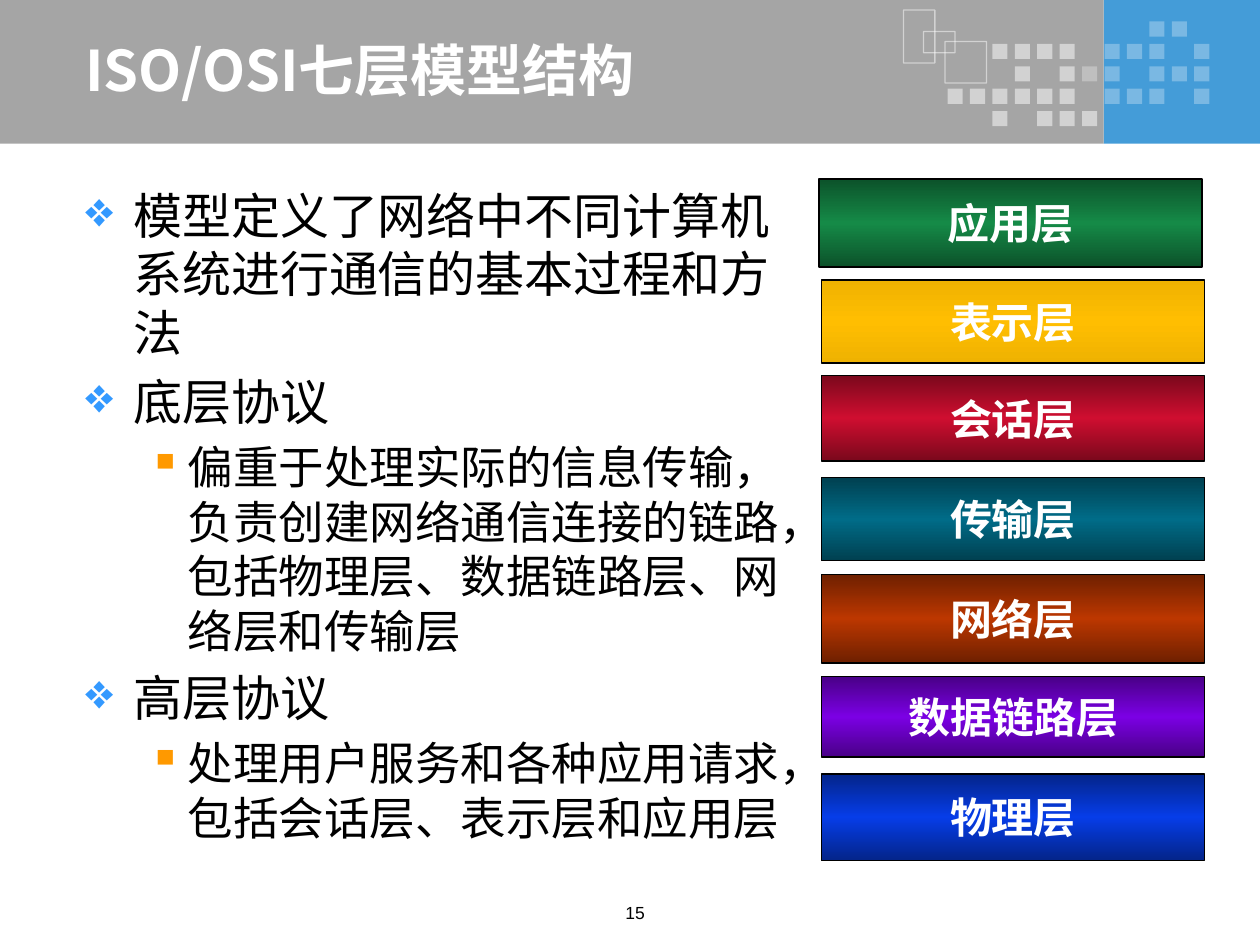
from copy import deepcopy

from lxml.etree import SubElement
from pptx import Presentation
from pptx.dml.color import RGBColor
from pptx.enum.shapes import MSO_SHAPE
from pptx.enum.text import MSO_ANCHOR, PP_ALIGN
from pptx.oxml.ns import qn
from pptx.util import Inches, Pt

COLORS = {
    "white": "FFFFFF",
    "black": "000000",
    "banner": "A5A5A5",
    "banner_end": "449CD8",
    "topic_bullet": "3399FF",
    "detail_bullet": "FF9900",
}
CJK_FONT = "Noto Sans CJK SC"

TITLE = "ISO/OSI七层模型结构"
TOPICS = [
    (0, "模型定义了网络中不同计算机系统进行通信的基本过程和方法"),
    (0, "底层协议"),
    (1, "偏重于处理实际的信息传输，负责创建网络通信连接的链路，"
        "包括物理层、数据链路层、网络层和传输层"),
    (0, "高层协议"),
    (1, "处理用户服务和各种应用请求，包括会话层、表示层和应用层"),
]
# Per outline level: size, left margin, hanging indent, bullet, bullet colour
LEVELS = [
    (28, 0.38, -0.38, "❖", "topic_bullet"),
    (26, 0.81, -0.31, "▪", "detail_bullet"),
]
# name, left, top, height, edge colour, middle colour
OSI_LAYERS = [
    ("应用层", 6.5, 1.42, 0.7, "0C522A", "158A47"),
    ("表示层", 6.52, 2.22, 0.66, "EFB201", "FFBE01"),
    ("会话层", 6.52, 2.98, 0.68, "7A081C", "CF0E30"),
    ("传输层", 6.52, 3.79, 0.66, "004050", "006C88"),
    ("网络层", 6.52, 4.56, 0.7, "6F2000", "BC3700"),
    ("数据链路层", 6.52, 5.37, 0.64, "490087", "7B00E4"),
    ("物理层", 6.52, 6.14, 0.69, "042489", "063DE8"),
]
LAYER_WIDTH = 3.04
# Banner mosaic: each mark is a tile, "#" brighter than "+"
MOSAIC = [
    ".........++.",
    "..####.+++.+",
    "...#.#++.+++",
    "######.+++.+",
    "..#.###.....",
]
TILE_OPACITY = {"#": 50, "+": 29}
OUTLINES = [
    (7.17, 0.08, 0.25, 0.42),
    (7.33, 0.25, 0.25, 0.17),
    (7.5, 0.33, 0.33, 0.33),
]


def rgb(name):
    return RGBColor.from_string(COLORS.get(name, name))


def set_opacity(color_format_fill, percent):
    """Make a solid fill's colour partly transparent."""
    color = color_format_fill._xPr.find(".//" + qn("a:srgbClr"))
    SubElement(color, qn("a:alpha"), val=str(percent * 1000))


def add_rect(slide, box, fill=None, opacity=100):
    rect = slide.shapes.add_shape(MSO_SHAPE.RECTANGLE, *map(Inches, box))
    rect.shadow.inherit = False
    rect.line.fill.background()
    if fill is None:
        rect.fill.background()
    else:
        rect.fill.solid()
        rect.fill.fore_color.rgb = rgb(fill)
        if opacity < 100:
            set_opacity(rect.fill, opacity)
    return rect


def add_run(paragraph, text, color, latin=CJK_FONT, **font_format):
    run = paragraph.add_run()
    run.text = text
    run.font.color.rgb = rgb(color)
    for attribute, value in {"name": latin, **font_format}.items():
        setattr(run.font, attribute, value)
    run.font._element.find(qn("a:latin")).addnext(
        run.font._element.makeelement(qn("a:ea"), {"typeface": CJK_FONT}))


def add_text_frame(slide, box, anchor=MSO_ANCHOR.TOP):
    frame = slide.shapes.add_textbox(*map(Inches, box)).text_frame
    frame.word_wrap = True
    frame.vertical_anchor = anchor
    return frame


def add_banner(slide):
    add_rect(slide, (8.76, 0, 1.24, 1.14), "banner_end")
    add_rect(slide, (0, 0, 8.76, 1.14), "banner")
    left, top, pitch, side = 7.52, 0.17, 0.178, 0.12
    for row, marks in enumerate(MOSAIC):
        for column, mark in enumerate(marks):
            if mark in TILE_OPACITY:
                box = (left + column * pitch, top + row * pitch, side, side)
                add_rect(slide, box, "white", TILE_OPACITY[mark])
    for box in OUTLINES:
        outline = add_rect(slide, box)
        outline.line.width = Pt(0.75)
        outline.line.color.rgb = rgb("white")
        set_opacity(outline.line.fill, 50)


def add_title(slide):
    frame = add_text_frame(slide, (0.58, 0.28, 7.76, 0.53), MSO_ANCHOR.MIDDLE)
    add_run(frame.paragraphs[0], TITLE, "white", size=Pt(32), bold=True)


def set_outline_format(paragraph, level):
    """Give a paragraph its level's indent, spacing and bullet."""
    _, margin, indent, bullet, bullet_color = LEVELS[level]
    paragraph.level = level
    props = paragraph._p.get_or_add_pPr()
    props.set("marL", str(Inches(margin)))
    props.set("indent", str(Inches(indent)))
    spacing = SubElement(props, qn("a:spcBef"))
    SubElement(spacing, qn("a:spcPct"), val="20000")
    color = SubElement(props, qn("a:buClr"))
    SubElement(color, qn("a:srgbClr"), val=COLORS[bullet_color])
    SubElement(props, qn("a:buChar"), char=bullet)


def add_topics(slide):
    frame = add_text_frame(slide, (0.58, 1.42, 5.92, 5.58))
    for index, (level, text) in enumerate(TOPICS):
        paragraph = frame.add_paragraph() if index else frame.paragraphs[0]
        set_outline_format(paragraph, level)
        add_run(paragraph, text, "black", size=Pt(LEVELS[level][0]))


def add_page_number(slide):
    paragraph = add_text_frame(slide, (4.58, 7.11, 0.92, 0.29)).paragraphs[0]
    paragraph.alignment = PP_ALIGN.CENTER
    add_run(paragraph, "15", "black", "Arial", size=Pt(10))


def set_band_gradient(fill, edge, middle):
    """Blend vertically from edge to middle and back to edge."""
    fill.gradient()
    fill.gradient_angle = 270
    for stop, color, position in zip(fill.gradient_stops, (edge, middle), (0, 0.5)):
        stop.color.rgb = rgb(color)
        stop.position = position
    stops = fill._xPr.find(".//" + qn("a:gsLst"))
    stops.append(deepcopy(stops[0]))
    fill.gradient_stops[2].position = 1


def add_osi_layer(slide, name, left, top, height, edge, middle):
    bar = add_rect(slide, (left, top, LAYER_WIDTH, height))
    set_band_gradient(bar.fill, edge, middle)
    bar.line.color.rgb = rgb("black")
    bar.line.width = Pt(1)
    frame = bar.text_frame
    frame.word_wrap = False
    frame.vertical_anchor = MSO_ANCHOR.MIDDLE
    frame.paragraphs[0].alignment = PP_ALIGN.CENTER
    add_run(frame.paragraphs[0], name, "white", "Arial", size=Pt(24), bold=True)


def main():
    deck = Presentation()
    deck.slide_width, deck.slide_height = Inches(10), Inches(7.5)
    slide = deck.slides.add_slide(deck.slide_layouts[6])
    add_banner(slide)
    add_title(slide)
    add_topics(slide)
    add_page_number(slide)
    for layer in OSI_LAYERS:
        add_osi_layer(slide, *layer)
    deck.save("out.pptx")


if __name__ == "__main__":
    main()
